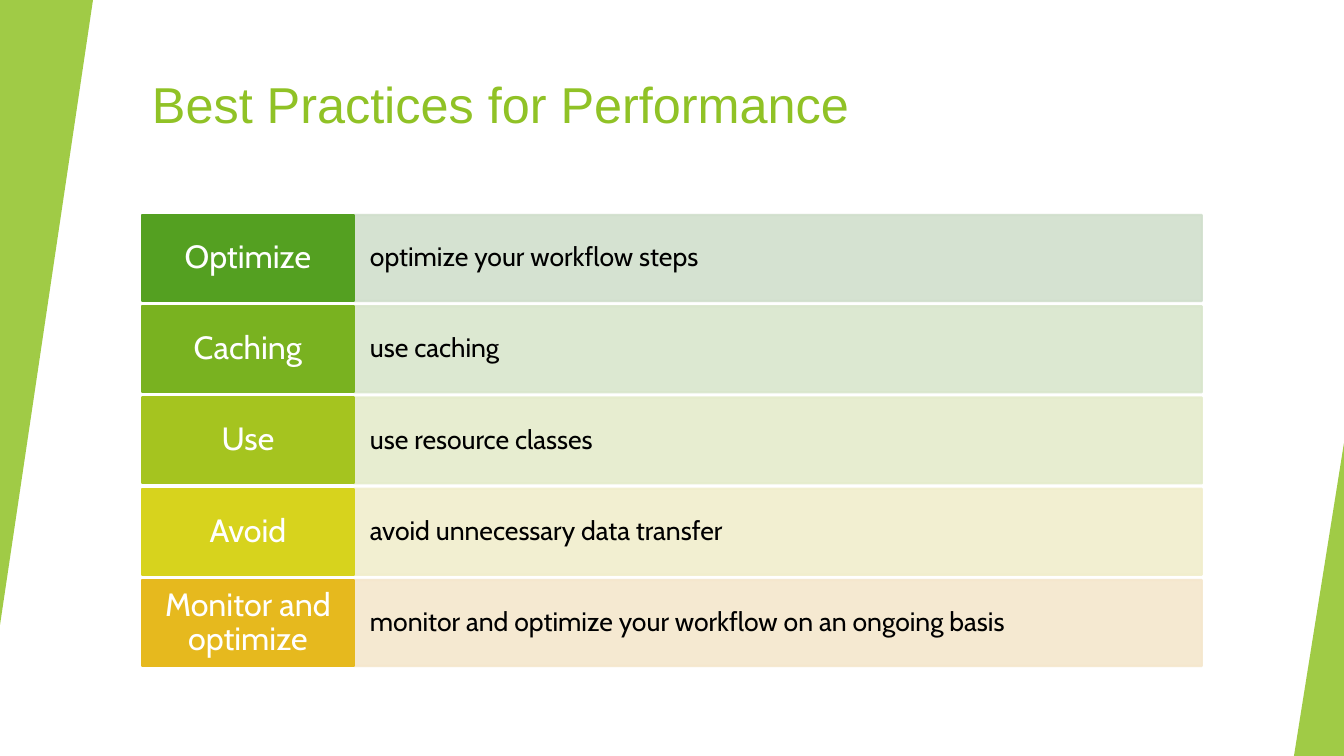
"""Build the slide of best practices for performance."""
import pptx
import pptx.util
import pptx.dml.color
import pptx.enum.shapes
import pptx.enum.text
import pptx.oxml.ns
import lxml.etree
from dataclasses import dataclass

TITLE = "Best Practices for Performance"
ROWS = [
    ("Optimize", "optimize your workflow steps", "54A021", "D1DFCD"),
    ("Caching", "use caching", "79B220", "D9E6CC"),
    ("Use", "use resource classes", "A5C41F", "E5ECCB"),
    ("Avoid", "avoid unnecessary data transfer", "D7D31D", "F1EECC"),
    ("Monitor and optimize", "monitor and optimize your workflow on an ongoing basis",
     "E6B91E", "F5E7CD"),
]
SIDES = [((0, 0, 93, 625), 180), ((1294, 443, 50, 313), 0)]

WIDE, HIGH = 1344, 756
LEFT, LABEL, BODY = 142, 212, 848
FIRST, LAST, TALL = 215, 580, 86
STEP = (LAST - FIRST) / (len(ROWS) - 1)


@dataclass(frozen=True)
class Theme:
    green: str = "90C226"
    white: str = "FFFFFF"
    black: str = "000000"
    head: str = "Arial"
    font: str = "Cabin"
    title: int = 36
    label: int = 23
    body: int = 19


THEME = Theme()
KIND = pptx.enum.shapes.MSO_SHAPE
ALIGN = pptx.enum.text.PP_ALIGN
ANCHOR = pptx.enum.text.MSO_ANCHOR


def px(*sizes):
    return [pptx.util.Emu(round(n * 9144000 / 1008)) for n in sizes]


def paint(fill, color, alpha=100):
    fill.solid()
    fill.fore_color.rgb = pptx.dml.color.RGBColor.from_string(color)
    if alpha < 100:
        for node in fill._xPr.iter(pptx.oxml.ns.qn("a:srgbClr")):
            mark = lxml.etree.SubElement(node, pptx.oxml.ns.qn("a:alpha"))
            mark.set("val", str(alpha * 1000))


def draw(slide, kind, box, color, alpha=100, edge=False):
    shape = slide.shapes.add_shape(kind, *px(*box))
    shape.shadow.inherit = False
    paint(shape.fill, color, alpha)
    if edge:
        shape.line.width = pptx.util.Pt(1.5)
        paint(shape.line.fill, color, alpha)
    else:
        shape.line.fill.background()
    return shape


def write(shape, text, font, size, color, align, anchor, pad, space=1.0):
    frame = shape.text_frame
    frame.word_wrap = True
    frame.vertical_anchor = anchor
    side, top = px(*pad)
    frame.margin_left = frame.margin_right = side
    frame.margin_top = frame.margin_bottom = top
    para = frame.paragraphs[0]
    para.alignment = align
    para.line_spacing = space
    run = para.add_run()
    run.text = text
    run.font.name = font
    run.font.size = pptx.util.Pt(size)
    run.font.color.rgb = pptx.dml.color.RGBColor.from_string(color)


def main():
    deck = pptx.Presentation()
    deck.slide_width, deck.slide_height = px(WIDE, HIGH)
    slide = deck.slides.add_slide(deck.slide_layouts[6])

    head = slide.shapes.add_textbox(*px(LEFT, 68, 1124, 121))
    write(head, TITLE, THEME.head, THEME.title, THEME.green,
          ALIGN.LEFT, ANCHOR.TOP, (10, 5))

    for box, turn in SIDES:
        side = draw(slide, KIND.ISOSCELES_TRIANGLE, box, THEME.green, 85)
        side.adjustments[0] = 1
        side.rotation = turn

    for i, (name, text, dark, light) in enumerate(ROWS):
        top = FIRST + i * STEP
        body = draw(slide, KIND.RECTANGLE, (LEFT + LABEL, top, BODY, TALL), light, 90, True)
        write(body, text, THEME.font, THEME.body, THEME.black,
              ALIGN.LEFT, ANCHOR.MIDDLE, (16, 22), 0.9)
        label = draw(slide, KIND.RECTANGLE, (LEFT, top, LABEL, TALL), dark, edge=True)
        write(label, name, THEME.font, THEME.label, THEME.white,
              ALIGN.CENTER, ANCHOR.MIDDLE, (11, 8), 0.9)

    deck.save("out.pptx")


if __name__ == "__main__":
    main()
